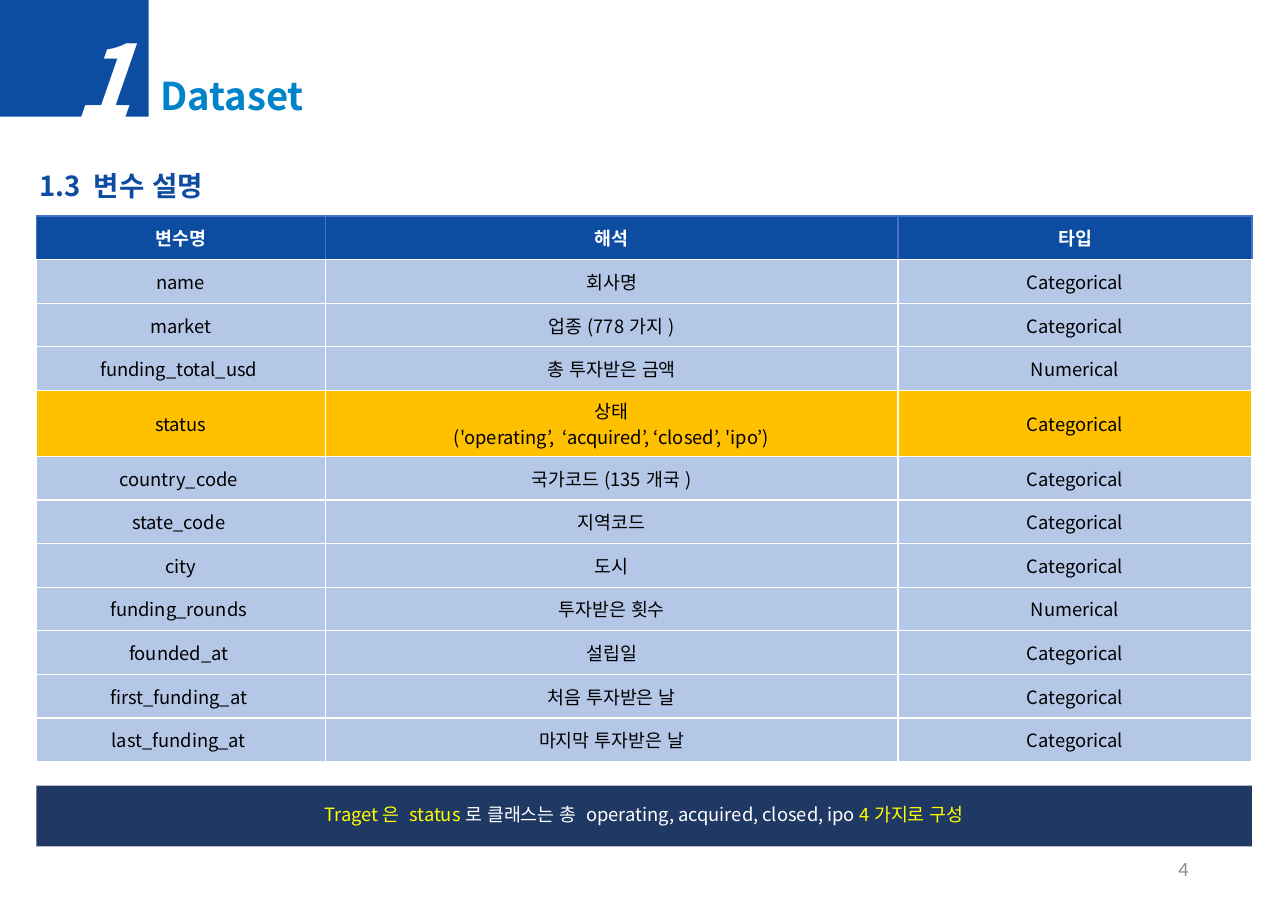
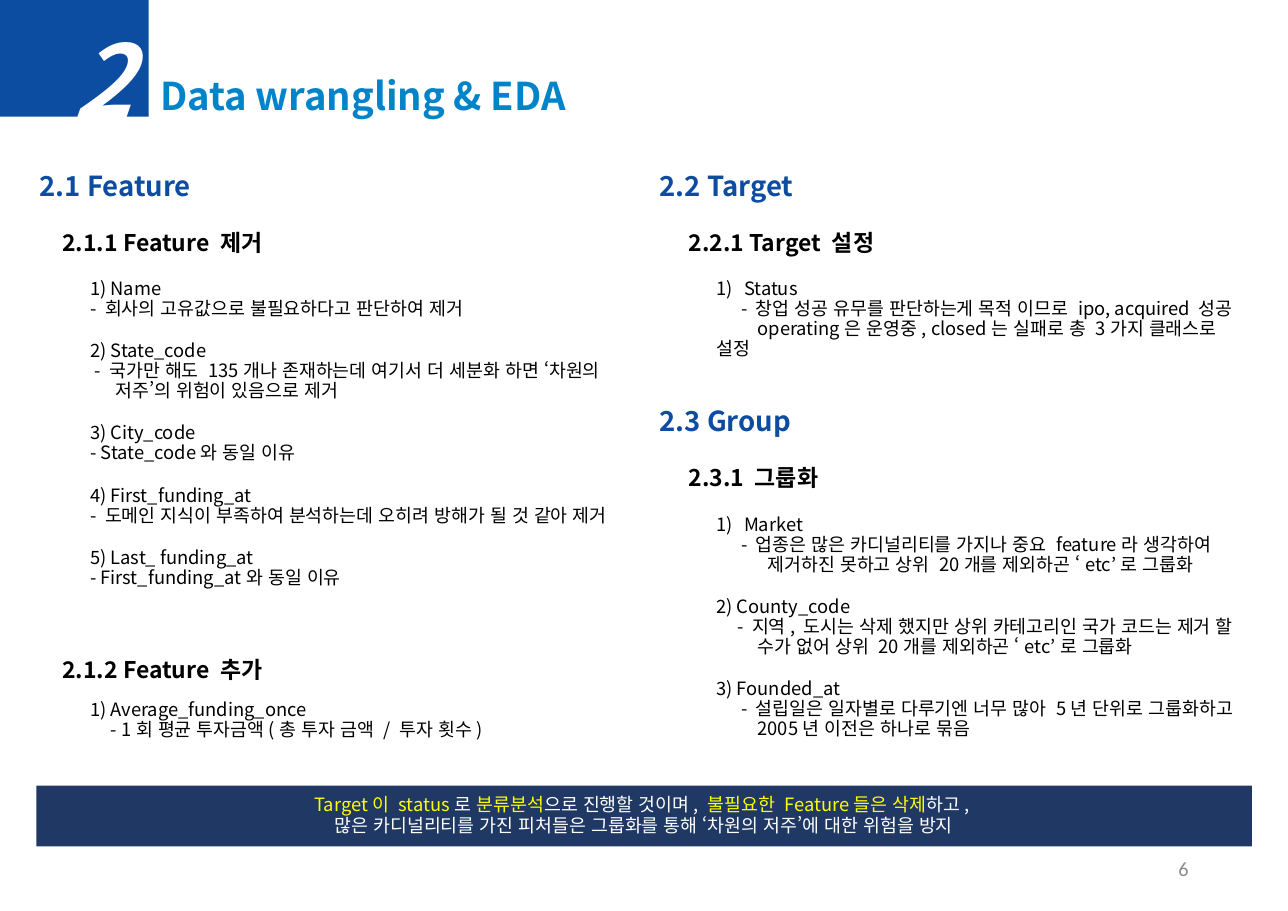
from dataclasses import dataclass

from lxml import etree
from pptx import Presentation
from pptx.dml.color import RGBColor
from pptx.enum.lang import MSO_LANGUAGE_ID
from pptx.enum.shapes import MSO_SHAPE
from pptx.enum.text import MSO_ANCHOR, PP_ALIGN
from pptx.oxml.ns import qn
from pptx.util import Cm, Pt

KOREAN = MSO_LANGUAGE_ID.KOREAN
RECTANGLE = MSO_SHAPE.RECTANGLE
TOP, MIDDLE = MSO_ANCHOR.TOP, MSO_ANCHOR.MIDDLE
LEFT, CENTER, RIGHT = PP_ALIGN.LEFT, PP_ALIGN.CENTER, PP_ALIGN.RIGHT


@dataclass(frozen=True)
class Theme:
    font: str = "Noto Sans CJK KR"
    number_font: str = "Calibri"
    blue: str = "0C4DA2"
    sky: str = "0084C9"
    navy: str = "203864"
    pale: str = "B4C7E7"
    amber: str = "FFC000"
    yellow: str = "FFFF00"
    white: str = "FFFFFF"
    black: str = "000000"
    gray: str = "8C8C8C"
    header_line: str = "4472C4"
    chapter_size: float = 65
    title_size: float = 25
    section_size: float = 18
    heading_size: float = 15
    number_size: float = 13.2
    body_size: float = 12
    title_spacing: float = 0.95
    body_spacing: float = 0.91
    item_gap: float = 14.4


THEME = Theme()

CATEGORICAL, NUMERICAL = "Categorical", "Numerical"
VARIABLES = [
    ("변수명", "해석", "타입"),
    ("name", "회사명", CATEGORICAL),
    ("market", "업종(778가지)", CATEGORICAL),
    ("funding_total_usd ", "총 투자받은 금액", NUMERICAL),
    ("status", "상태\n('operating’,  ‘acquired’, ‘closed’, 'ipo’)", CATEGORICAL),
    ("country_code ", "국가코드(135개국)", CATEGORICAL),
    ("state_code ", "지역코드", CATEGORICAL),
    ("city", "도시", CATEGORICAL),
    ("funding_rounds ", "투자받은 횟수", NUMERICAL),
    ("founded_at ", "설립일", CATEGORICAL),
    ("first_funding_at ", "처음 투자받은 날", CATEGORICAL),
    ("last_funding_at ", "마지막 투자받은 날", CATEGORICAL),
]
TARGET_ROW = 4
COLUMN_WIDTHS = (6.66, 13.21, 8.16)
TABLE_HEIGHT, TARGET_ROW_HEIGHT = 12.58, 1.52

DATASET = {
    "chapter": "1", "title": "Dataset", "page": "4",
    "summary": [[
        ("Traget은 status", THEME.yellow),
        ("로 클래스는 총 operating, acquired, closed, ipo ", THEME.white),
        ("4가지로 구성", THEME.yellow),
    ]],
}
WRANGLING = {
    "chapter": "2", "title": "Data wrangling & EDA", "page": "6",
    "summary": [
        [
            ("Target이 status", THEME.yellow),
            ("로 ", THEME.white),
            ("분류분석", THEME.yellow),
            ("으로 진행할 것이며, ", THEME.white),
            ("불필요한 Feature들은 삭제", THEME.yellow),
            ("하고, ", THEME.white),
        ],
        [("많은 카디널리티를 가진 피처들은 그룹화를 통해 ‘차원의 저주’에 대한 위험을 방지", THEME.white)],
    ],
}

SECTION_TOP = 3.71
GROUP_TOP = 9.14
SECTION_LEFTS = (0.66, 14.96)
HEADING_LEFTS = (1.19, 15.63)
BODY_LEFTS = (1.83, 16.27)
HEADING_DROP = 1.5
SECTIONS = [
    (0, SECTION_TOP, "2.1 Feature"),
    (1, SECTION_TOP, "2.2 Target"),
    (1, GROUP_TOP, "2.3 Group"),
]
TOPICS = [
    (0, SECTION_TOP + HEADING_DROP, 1.11, "2.1.1 Feature 제거", [
        ("1) Name", [(0, "- 회사의 고유값으로 불필요하다고 판단하여 제거")]),
        ("2) State_code", [
            (0.1, "- 국가만 해도 135개나 존재하는데 여기서 더 세분화 하면 ‘차원의"),
            (0.58, "저주’의 위험이 있음으로 제거"),
        ]),
        ("3) City_code", [(0, "- State_code와 동일 이유")]),
        ("4) First_funding_at", [(0, "- 도메인 지식이 부족하여 분석하는데 오히려 방해가 될 것 같아 제거")]),
        ("5) Last_ funding_at", [(0, "- First_funding_at와 동일 이유")]),
    ]),
    (0, 15.06, 0.97, "2.1.2 Feature 추가", [
        ("1) Average_funding_once", [(0.48, "- 1회 평균 투자금액(총 투자 금액 / 투자 횟수)")]),
    ]),
    (1, SECTION_TOP + HEADING_DROP, 1.11, "2.2.1 Target 설정", [
        ("Status", [
            (0.57, "- 창업 성공 유무를 판단하는게 목적 이므로 ipo, acquired 성공"),
            (0.95, "operating은 운영중, closed는 실패로 총 3가지 클래스로 설정"),
        ]),
    ]),
    (1, GROUP_TOP + HEADING_DROP, 1.11, "2.3.1 그룹화", [
        ("Market", [
            (0.57, "- 업종은 많은 카디널리티를 가지나 중요 feature라 생각하여"),
            (1.18, "제거하진 못하고 상위 20개를 제외하곤 ‘etc’로 그룹화"),
        ]),
        ("2) County_code", [
            (0.48, "- 지역, 도시는 삭제 했지만 상위 카테고리인 국가 코드는 제거 할"),
            (0.95, "수가 없어 상위 20개를 제외하곤 ‘etc’로 그룹화"),
        ]),
        ("3) Founded_at", [
            (0.57, "- 설립일은 일자별로 다루기엔 너무 많아 5년 단위로 그룹화하고"),
            (0.95, "2005년 이전은 하나로 묶음"),
        ]),
    ]),
]


def add_run(paragraph, text, size, color, bold=False, italic=False, font=THEME.font):
    run = paragraph.add_run()
    run.text = text
    run.font.size = Pt(size)
    run.font.bold = bold
    run.font.italic = italic
    run.font.language_id = KOREAN
    run.font.color.rgb = RGBColor.from_string(color)
    run.font.name = font
    etree.SubElement(run.font._element, qn("a:ea"), typeface=font)


def next_paragraph(frame, is_first):
    return frame.paragraphs[0] if is_first else frame.add_paragraph()


def add_text_frame(slide, left, top, width, height, anchor=MIDDLE):
    frame = slide.shapes.add_textbox(Cm(left), Cm(top), Cm(width), Cm(height)).text_frame
    frame.word_wrap = True
    frame.vertical_anchor = anchor
    return frame


def add_label(slide, box, text, size, color, align=LEFT, spacing=THEME.title_spacing,
              anchor=MIDDLE, **style):
    paragraph = add_text_frame(slide, *box, anchor).paragraphs[0]
    paragraph.alignment = align
    paragraph.line_spacing = spacing
    add_run(paragraph, text, size, color, **style)


def add_block(slide, left, top, width, height, color):
    shape = slide.shapes.add_shape(RECTANGLE, Cm(left), Cm(top), Cm(width), Cm(height))
    shape.shadow.inherit = False
    shape.fill.solid()
    shape.fill.fore_color.rgb = RGBColor.from_string(color)
    shape.line.fill.background()
    return shape


def add_section(slide, column, top, text):
    add_label(slide, (SECTION_LEFTS[column], top, 13.8, 1.19), text,
              THEME.section_size, THEME.blue, bold=True)


def add_page(presentation, content):
    slide = presentation.slides.add_slide(presentation.slide_layouts[6])
    add_block(slide, 0, 0, 3.43, 2.69, THEME.blue)
    add_label(slide, (3.45, 1.65, 25.4, 1.19), content["title"], THEME.title_size,
              THEME.sky, bold=True)
    add_label(slide, (1.45, 1.32, 15.6, 1.19), content["chapter"], THEME.chapter_size,
              THEME.white, bold=True, italic=True)
    frame = add_block(slide, 0.84, 18.11, 28.03, 1.4, THEME.navy).text_frame
    frame.word_wrap = True
    frame.vertical_anchor = MIDDLE
    for index, runs in enumerate(content["summary"]):
        paragraph = next_paragraph(frame, index == 0)
        paragraph.alignment = CENTER
        paragraph.line_spacing = THEME.body_spacing
        for text, color in runs:
            add_run(paragraph, text, THEME.body_size, color)
    add_label(slide, (20.98, 19.46, 6.68, 1.12), content["page"], THEME.number_size,
              THEME.gray, align=RIGHT, spacing=1.0, font=THEME.number_font)
    return slide


def set_borders(cell, outline):
    properties = cell._tc.get_or_add_tcPr()
    for side, color in (("L", outline), ("R", outline), ("T", outline), ("B", THEME.white)):
        line = etree.SubElement(properties, qn("a:ln" + side), w=str(Pt(1)))
        fill = etree.SubElement(line, qn("a:solidFill"))
        etree.SubElement(fill, qn("a:srgbClr"), val=color)


def fill_cell(cell, text, fill, color, outline, bold):
    set_borders(cell, outline)
    cell.fill.solid()
    cell.fill.fore_color.rgb = RGBColor.from_string(fill)
    cell.vertical_anchor = MIDDLE
    for index, line in enumerate(text.split("\n")):
        paragraph = next_paragraph(cell.text_frame, index == 0)
        paragraph.alignment = CENTER
        add_run(paragraph, line, THEME.body_size, color, bold)


def add_variable_table(slide):
    row_height = (TABLE_HEIGHT - TARGET_ROW_HEIGHT) / (len(VARIABLES) - 1)
    table = slide.shapes.add_table(
        len(VARIABLES), len(COLUMN_WIDTHS), Cm(0.84), Cm(4.98),
        Cm(sum(COLUMN_WIDTHS)), Cm(TABLE_HEIGHT)).table
    for column, width in zip(table.columns, COLUMN_WIDTHS):
        column.width = Cm(width)
    for index, (row, texts) in enumerate(zip(table.rows, VARIABLES)):
        row.height = Cm(TARGET_ROW_HEIGHT if index == TARGET_ROW else row_height)
        if index == 0:
            style = (THEME.blue, THEME.white, THEME.header_line, True)
        else:
            fill = THEME.amber if index == TARGET_ROW else THEME.pale
            style = (fill, THEME.black, THEME.white, False)
        for cell, text in zip(row.cells, texts):
            fill_cell(cell, text, *style)


def set_indent(paragraph, margin, first_line):
    properties = paragraph._p.get_or_add_pPr()
    properties.set("marL", str(Cm(margin)))
    properties.set("indent", str(Cm(first_line)))
    return properties


def add_topic(slide, column, top, body_drop, heading, items):
    add_label(slide, (HEADING_LEFTS[column], top, 13.4, 0.84), heading, THEME.heading_size,
              THEME.black, spacing=THEME.body_spacing, anchor=TOP, bold=True)
    frame = add_text_frame(slide, BODY_LEFTS[column], top + body_drop, 12.57, 0.84, TOP)
    for index, (name, details) in enumerate(items):
        paragraph = next_paragraph(frame, index == 0)
        paragraph.line_spacing = THEME.body_spacing
        if index:
            paragraph.space_before = Pt(THEME.item_gap)
        if not name[0].isdigit():
            properties = set_indent(paragraph, 0.64, -0.64)
            etree.SubElement(properties, qn("a:buAutoNum"), type="arabicParenR")
        add_run(paragraph, name, THEME.body_size, THEME.black)
        for first_line, text in details:
            paragraph = frame.add_paragraph()
            paragraph.line_spacing = THEME.body_spacing
            set_indent(paragraph, 0, first_line)
            add_run(paragraph, text, THEME.body_size, THEME.black)


def main():
    presentation = Presentation()
    presentation.slide_width = Cm(29.7)
    presentation.slide_height = Cm(21)

    dataset_slide = add_page(presentation, DATASET)
    add_section(dataset_slide, 0, SECTION_TOP, "1.3 변수 설명")
    add_variable_table(dataset_slide)

    wrangling_slide = add_page(presentation, WRANGLING)
    for section in SECTIONS:
        add_section(wrangling_slide, *section)
    for topic in TOPICS:
        add_topic(wrangling_slide, *topic)

    presentation.save("out.pptx")


if __name__ == "__main__":
    main()
